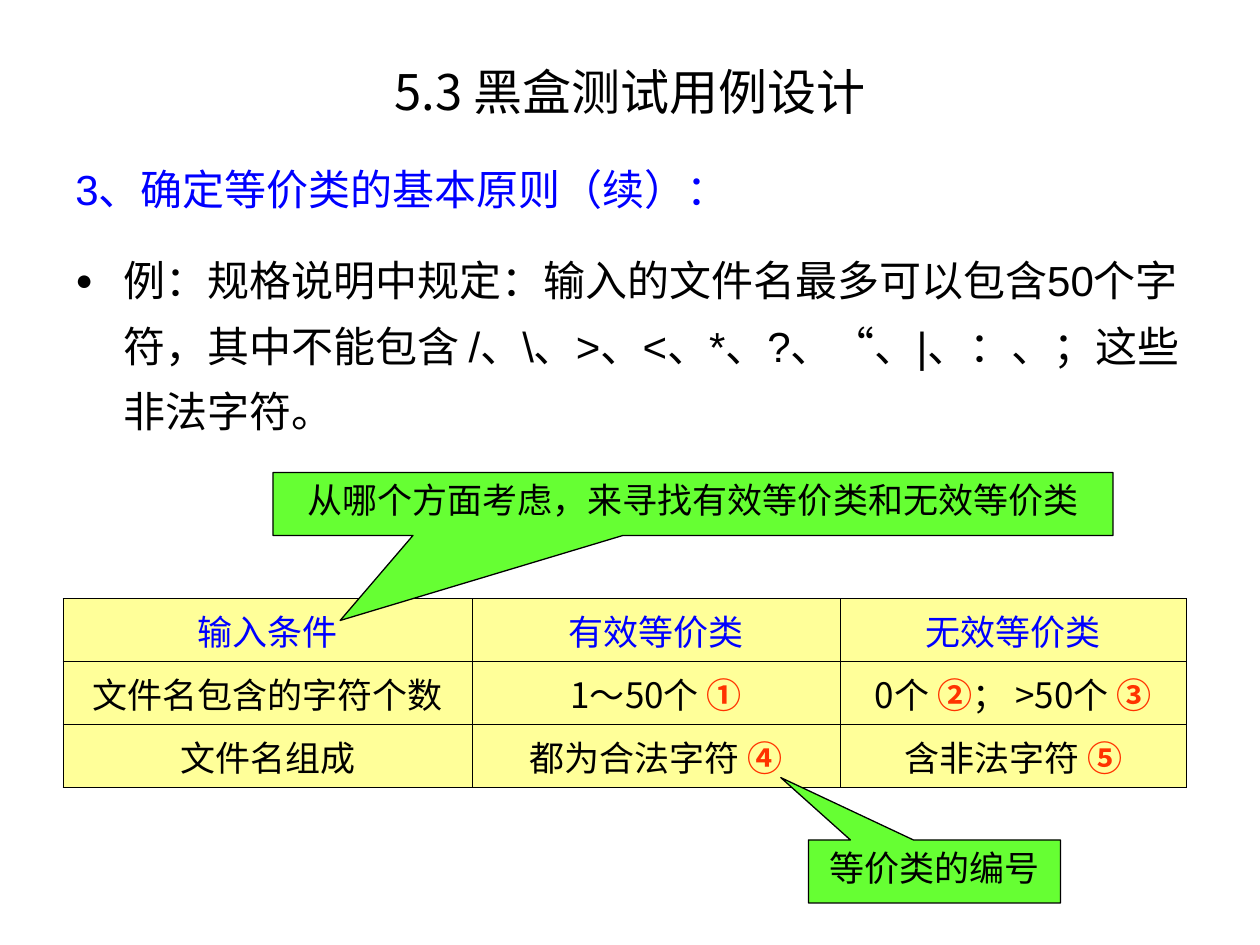
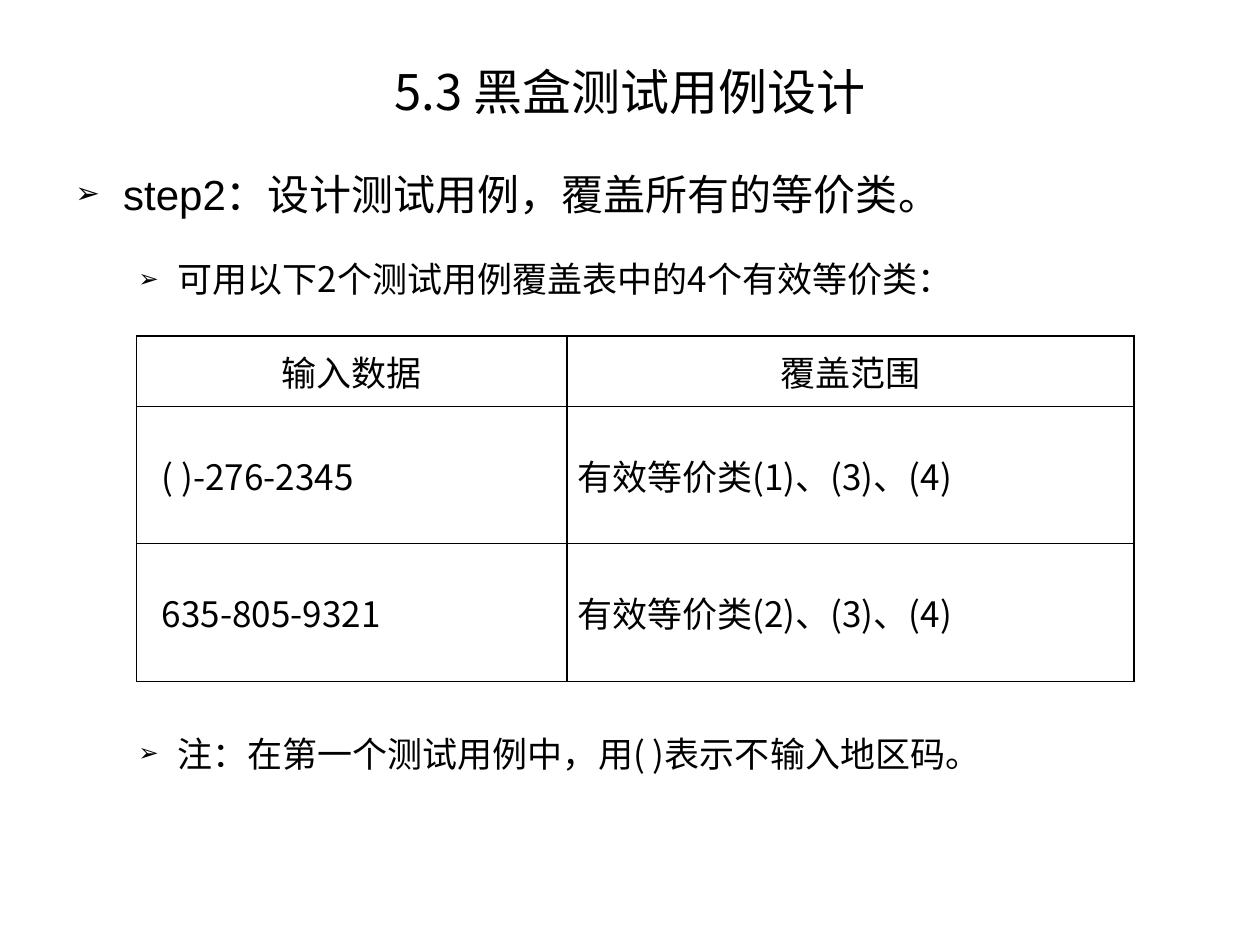
"""Builds two lecture slides on black-box test case design."""
from itertools import groupby

from lxml.etree import SubElement
from pptx import Presentation
from pptx.dml.color import RGBColor
from pptx.enum.shapes import MSO_SHAPE as SHAPE
from pptx.enum.text import MSO_ANCHOR as ANCHOR, PP_ALIGN as ALIGN
from pptx.oxml import parse_xml
from pptx.oxml.ns import nsdecls, qn
from pptx.util import Emu, Inches, Pt

BLACK = RGBColor(0x00, 0x00, 0x00)
BLUE = RGBColor(0x00, 0x00, 0xFF)
RED = RGBColor(0xFF, 0x33, 0x00)
GREEN = RGBColor(0x66, 0xFF, 0x33)
YELLOW = RGBColor(0xFF, 0xFF, 0x99)
SANS = "Noto Sans CJK SC"
LATIN = "Arial"
MARKS = "①②③④⑤"
INDENTS = [(0.38, -0.38), (0.81, -0.31)]
MARGIN, WIDTH = 6, 108


def grid(n):
    return Emu(round(n * Inches(10) / 120))


def add_run(p, text, size, font=SANS, color=BLACK, bold=False):
    r = p.add_run()
    r.text = text
    r.font.size = Pt(size)
    r.font.name = font
    r.font.bold = bold
    r.font.color.rgb = color
    SubElement(r.font._element, qn("a:ea")).set("typeface", SANS)


def add_box(slide, col, row, cols, rows):
    tf = slide.shapes.add_textbox(*map(grid, (col, row, cols, rows))).text_frame
    tf.word_wrap = True
    return tf


def add_title(slide, text):
    tf = add_box(slide, MARGIN, 4, WIDTH, 9.4)
    tf.vertical_anchor = ANCHOR.MIDDLE
    p = tf.paragraphs[0]
    p.alignment = ALIGN.CENTER
    add_run(p, text, 28)


def set_bullet(p, char):
    pPr = p._p.get_or_add_pPr()
    clr = SubElement(pPr, qn("a:buClr"))
    SubElement(clr, qn("a:srgbClr")).set("val", str(BLACK))
    SubElement(pPr, qn("a:buSzPct")).set("val", "70000")
    SubElement(pPr, qn("a:buFont")).set("typeface", LATIN)
    SubElement(pPr, qn("a:buChar")).set("char", char)


def add_point(tf, runs, bullet=None, level=0, before=15, color=BLACK):
    p = tf.paragraphs[0] if not tf.text else tf.add_paragraph()
    p.level = level
    p.line_spacing = 1.3
    p.space_before = Pt(before)
    left, first = INDENTS[level]
    pPr = p._p.get_or_add_pPr()
    pPr.set("marL", str(Inches(left)))
    pPr.set("indent", str(Inches(first)))
    if bullet:
        set_bullet(p, bullet)
    for text, font in runs:
        add_run(p, text, 24 - 4 * level, font, color)


def add_callout(slide, text, col, row, cols, tip):
    sp = slide.shapes.add_shape(SHAPE.RECTANGULAR_CALLOUT, *map(grid, (col, row, cols, 6)))
    sp.adjustments[0], sp.adjustments[1] = tip
    sp.shadow.inherit = False
    sp.fill.solid()
    sp.fill.fore_color.rgb = GREEN
    sp.line.color.rgb = BLACK
    sp.line.width = Pt(0.74)
    tf = sp.text_frame
    tf.word_wrap = True
    tf.vertical_anchor = ANCHOR.TOP
    p = tf.paragraphs[0]
    p.alignment = ALIGN.CENTER
    add_run(p, text, 20, LATIN)


def set_borders(cell, width):
    tcPr = cell._tc.get_or_add_tcPr()
    for i, side in enumerate("LRTB"):
        tcPr.insert(i, parse_xml(
            f'<a:ln{side} {nsdecls("a")} w="{Pt(width)}"><a:solidFill>'
            f'<a:srgbClr val="{BLACK}"/></a:solidFill></a:ln{side}>'))


def fill_cell(cell, text, color, align, inset, fill, border):
    cell.vertical_anchor = ANCHOR.MIDDLE
    cell.margin_left, cell.margin_right = Inches(inset), Inches(min(inset, 0.08))
    cell.margin_top = cell.margin_bottom = Inches(0.05)
    if fill is None:
        cell.fill.background()
    else:
        cell.fill.solid()
        cell.fill.fore_color.rgb = fill
    set_borders(cell, border)
    p = cell.text_frame.paragraphs[0]
    p.alignment = align
    for is_mark, chars in groupby(text, lambda c: c in MARKS):
        if is_mark:
            add_run(p, "".join(chars), 20, LATIN, RED, True)
        else:
            add_run(p, "".join(chars), 20, SANS, color)


def add_grid_table(slide, col, row, cols, rows, texts, insets, border,
                   fill=None, head=BLACK, align=ALIGN.CENTER):
    frame = slide.shapes.add_table(len(rows), len(cols),
                                   *map(grid, (col, row, sum(cols), sum(rows))))
    table = frame.table
    table.first_row = table.horz_banding = False
    for column, n in zip(table.columns, cols):
        column.width = grid(n)
    for i, (line, n) in enumerate(zip(texts, rows)):
        table.rows[i].height = grid(n)
        for j, text in enumerate(line):
            fill_cell(table.cell(i, j), text, BLACK if i else head,
                      align if i else ALIGN.CENTER,
                      insets[j] if i else min(insets), fill, border)


def build_principles(slide):
    tf = add_box(slide, MARGIN, 13.5, WIDTH, 66.5)
    add_point(tf, [("3、确定等价类的基本原则（续）：", LATIN)], color=BLUE)
    add_point(tf, [("例：规格说明中规定：输入的文件名最多可以包含50个字符，其中不能包含 "
                    "/、\\、>、<、*、?、“、|、：、；这些非法字符。", LATIN)], "●")
    add_grid_table(slide, MARGIN, 57, [39, 35, 33], [6] * 3, [
        ["输入条件", "有效等价类", "无效等价类"],
        ["文件名包含的字符个数", "1～50个 ①", "0个 ②； >50个 ③"],
        ["文件名组成", "都为合法字符 ④", "含非法字符 ⑤"],
    ], [0.01] * 3, 0.45, YELLOW, BLUE)
    add_title(slide, "5.3 黑盒测试用例设计")
    add_callout(slide, "等价类的编号", 77, 80, 24, (-0.61, -1.49))
    add_callout(slide, "从哪个方面考虑，来寻找有效等价类和无效等价类", 26, 45, 80, (-0.42, 1.85))


def build_cases(slide):
    tf = add_box(slide, MARGIN, 14, WIDTH, 69)
    add_point(tf, [("step2：", LATIN), ("设计测试用例，覆盖所有的等价类。", SANS)], "➢")
    add_point(tf, [("可用以下2个测试用例覆盖表中的4个有效等价类：", SANS)], "➢", 1)
    add_point(tf, [("注：在第一个测试用例中，用( )表示不输入地区码。", SANS)], "➢", 1, 240)
    add_grid_table(slide, 13, 32, [41, 54], [6.7, 13.1, 13.1], [
        ["输入数据", "覆盖范围"],
        ["( )-276-2345", "有效等价类(1)、(3)、(4)"],
        ["635-805-9321", "有效等价类(2)、(3)、(4)"],
    ], [0.2, 0.08], 0.74, align=ALIGN.LEFT)
    add_title(slide, "5.3 黑盒测试用例设计")


def main():
    prs = Presentation()
    prs.slide_width, prs.slide_height = Inches(10), Inches(7.5)
    for build in (build_principles, build_cases):
        build(prs.slides.add_slide(prs.slide_layouts[6]))
    prs.save("out.pptx")


main()
